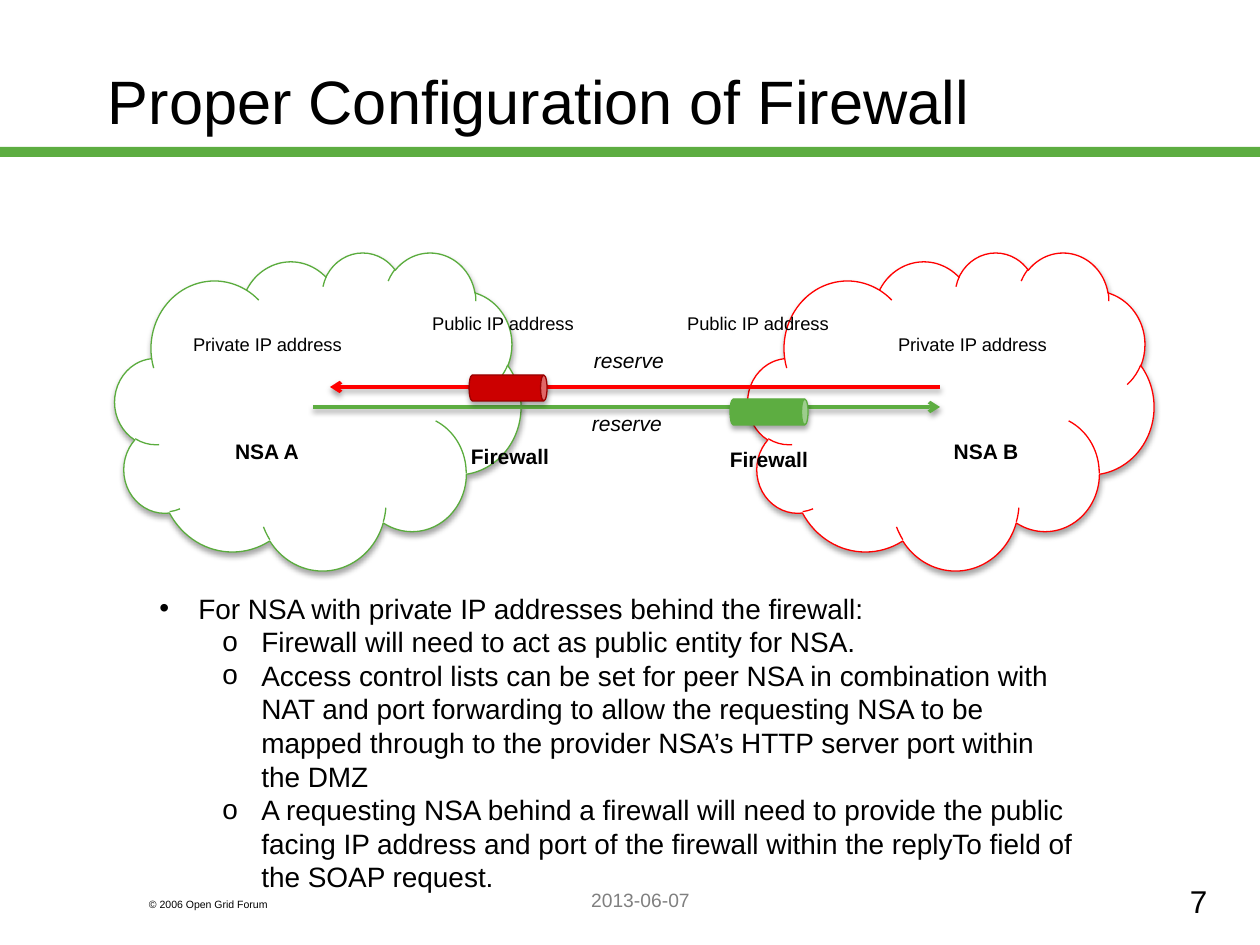
from dataclasses import dataclass, field
from typing import Any

from lxml.etree import SubElement
from pptx import Presentation
from pptx.dml.color import RGBColor as RGB
from pptx.enum.shapes import MSO_CONNECTOR as LINK, MSO_SHAPE as SHAPE
from pptx.enum.text import MSO_ANCHOR as ANCHOR, MSO_AUTO_SIZE as FIT, PP_ALIGN as ALIGN
from pptx.oxml.ns import qn
from pptx.util import Emu, Pt

SCALE = 914400 / 126


@dataclass(frozen=True)
class Theme:
    font: str = "Arial"
    ink: str = "000000"
    paper: str = "FFFFFF"
    grey: str = "808080"
    green: str = "5DAD41"
    leaf: str = "5AAC3D"
    red: str = "FF0000"
    brick: str = "CC0000"
    maroon: str = "990000"
    title: float = 35
    number: float = 18
    body: float = 16
    label: float = 12
    date: float = 11
    address: float = 10.5
    credit: float = 6
    thin: float = 0.75
    thick: float = 2


THEME = Theme()


@dataclass(frozen=True)
class Label:
    text: str
    box: tuple[int, int, int, int]
    size: float
    color: str = THEME.ink
    style: dict[str, Any] = field(default_factory=dict)
    align: ALIGN = ALIGN.LEFT
    anchor: ANCHOR = ANCHOR.TOP
    inset: int = 13
    wrap: bool = True


@dataclass(frozen=True)
class Solid:
    kind: SHAPE
    box: tuple[int, int, int, int]
    fill: str
    line: str
    turn: int = 0


@dataclass(frozen=True)
class Arrow:
    start: int
    end: int
    y: int
    color: str


@dataclass(frozen=True)
class Point:
    text: str
    level: int = 1


def px(n: float) -> Emu:
    return Emu(round(n * SCALE))


def place(box: tuple[int, ...]) -> list[Emu]:
    return [px(n) for n in box]


def shade(shape: Any, alpha: int, dist: float) -> None:
    """Give the shape a soft shadow straight below it."""
    effects = SubElement(shape._element.spPr, qn("a:effectLst"))
    outer = SubElement(effects, qn("a:outerShdw"), blurRad=str(Pt(3.1)),
                       dist=str(Pt(dist)), dir="5400000", rotWithShape="0")
    color = SubElement(outer, qn("a:srgbClr"), val=THEME.ink)
    SubElement(color, qn("a:alpha"), val=str(alpha * 1000))


def write(para: Any, text: str, size: float, color: str, style: dict[str, Any]) -> None:
    run = para.add_run()
    run.text = text
    for key, value in {"name": THEME.font, "size": Pt(size), **style}.items():
        setattr(run.font, key, value)
    run.font.color.rgb = RGB.from_string(color)


def add_label(slide: Any, item: Label) -> None:
    frame = slide.shapes.add_textbox(*place(item.box)).text_frame
    layout = {
        "word_wrap": item.wrap,
        "auto_size": FIT.NONE if item.wrap else FIT.SHAPE_TO_FIT_TEXT,
        "vertical_anchor": item.anchor,
        "margin_left": px(item.inset),
        "margin_right": px(item.inset),
    }
    for key, value in layout.items():
        setattr(frame, key, value)
    para = frame.paragraphs[0]
    para.alignment = item.align
    write(para, item.text, item.size, item.color, item.style)


def add_solid(slide: Any, item: Solid) -> None:
    shape = slide.shapes.add_shape(item.kind, *place(item.box))
    shape.rotation = item.turn
    shape.fill.solid()
    shape.fill.fore_color.rgb = RGB.from_string(item.fill)
    shape.line.color.rgb = RGB.from_string(item.line)
    shape.line.width = Pt(THEME.thin)
    shade(shape, 35, 1.8)


def add_arrow(slide: Any, item: Arrow) -> None:
    ends = place((item.start, item.y, item.end, item.y))
    link = slide.shapes.add_connector(LINK.STRAIGHT, *ends)
    link.line.color.rgb = RGB.from_string(item.color)
    link.line.width = Pt(THEME.thick)
    SubElement(link.line._get_or_add_ln(), qn("a:tailEnd"), type="arrow")
    shade(link, 38, 1.6)


def add_bar(slide: Any) -> None:
    bar = slide.shapes.add_shape(SHAPE.RECTANGLE, *place((0, 147, 1260, 10)))
    bar.shadow.inherit = False
    bar.fill.solid()
    bar.fill.fore_color.rgb = RGB.from_string(THEME.green)
    bar.line.fill.background()


def add_points(slide: Any, points: list[Point]) -> None:
    frame = slide.shapes.add_textbox(*place((147, 585, 946, 351))).text_frame
    frame.word_wrap = True
    for i, point in enumerate(points):
        para = frame.add_paragraph() if i else frame.paragraphs[0]
        para.level = point.level
        props = para._p.get_or_add_pPr()
        props.set("marL", str(px(39 + 63 * point.level)))
        props.set("indent", str(px(-39)))
        SubElement(props, qn("a:buFont"), typeface=THEME.font)
        SubElement(props, qn("a:buChar"), char="•o"[point.level])
        write(para, point.text, THEME.body, THEME.ink, {})


def tag(text: str, box: tuple[int, int, int, int]) -> Label:
    """Bold name centred in its box."""
    return Label(text, box, THEME.label, style={"bold": True}, align=ALIGN.CENTER, inset=0)


def note(text: str, x: int, y: int, width: int, size: float, **style: Any) -> Label:
    """Unwrapped caption that fits its text."""
    return Label(text, (x, y, width, 36), size, style=style, align=ALIGN.RIGHT, wrap=False)


CLOUDS = [Solid(SHAPE.CLOUD, (x, 252, 406, 318), THEME.paper, line)
          for x, line in ((115, THEME.leaf), (748, THEME.red))]
ARROWS = [Arrow(940, 330, 387, THEME.red), Arrow(313, 940, 407, THEME.green)]
WALLS = [Solid(SHAPE.CAN, (495, 349, 26, 78), THEME.brick, THEME.maroon, 90),
         Solid(SHAPE.CAN, (756, 373, 26, 78), THEME.green, THEME.green, 90)]
LABELS = [
    Label("© 2006 Open Grid Forum", (136, 892, 189, 25), THEME.credit),
    Label("Proper Configuration of Firewall", (95, 21, 1071, 158), THEME.title,
          anchor=ANCHOR.MIDDLE),
    Label("2013-06-07", (273, 882, 735, 63), THEME.date, THEME.grey, align=ALIGN.CENTER),
    Label("7", (1177, 876, 77, 50), THEME.number),
    tag("Firewall", (439, 437, 142, 47)),
    tag("Firewall", (692, 440, 154, 43)),
    tag("NSA A", (204, 432, 126, 38)),
    tag("NSA B", (923, 432, 126, 38)),
    note("reserve", 574, 341, 103, THEME.label, italic=True),
    note("reserve", 572, 404, 103, THEME.label, italic=True),
    *(note("Private IP address", x, 327, 183, THEME.address) for x in (172, 877)),
    *(note("Public IP address", x, 306, 175, THEME.address) for x in (412, 667)),
]
POINTS = [
    Point("For NSA with private IP addresses behind the firewall:", 0),
    Point("Firewall will need to act as public entity for NSA."),
    Point("Access control lists can be set for peer NSA in combination with NAT and port "
          "forwarding to allow the requesting NSA to be mapped through to the provider "
          "NSA’s HTTP server port within the DMZ"),
    Point("A requesting NSA behind a firewall will need to provide the public facing IP "
          "address and port of the firewall within the replyTo field of the SOAP request."),
]


def main() -> None:
    deck = Presentation()
    deck.slide_width, deck.slide_height = px(1260), px(945)
    slide = deck.slides.add_slide(deck.slide_layouts[6])
    add_bar(slide)
    for draw, items in ((add_solid, CLOUDS), (add_arrow, ARROWS),
                        (add_solid, WALLS), (add_label, LABELS)):
        for item in items:
            draw(slide, item)
    add_points(slide, POINTS)
    deck.save("out.pptx")


if __name__ == "__main__":
    main()
